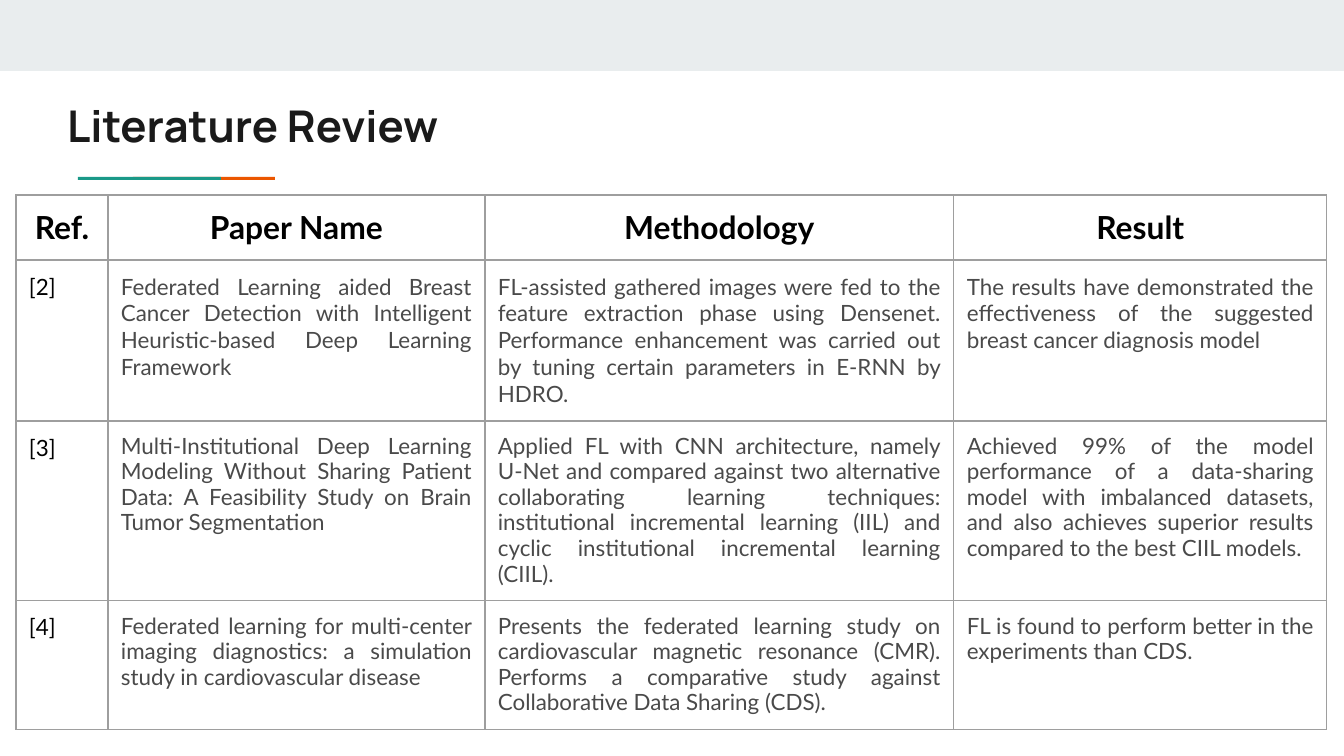
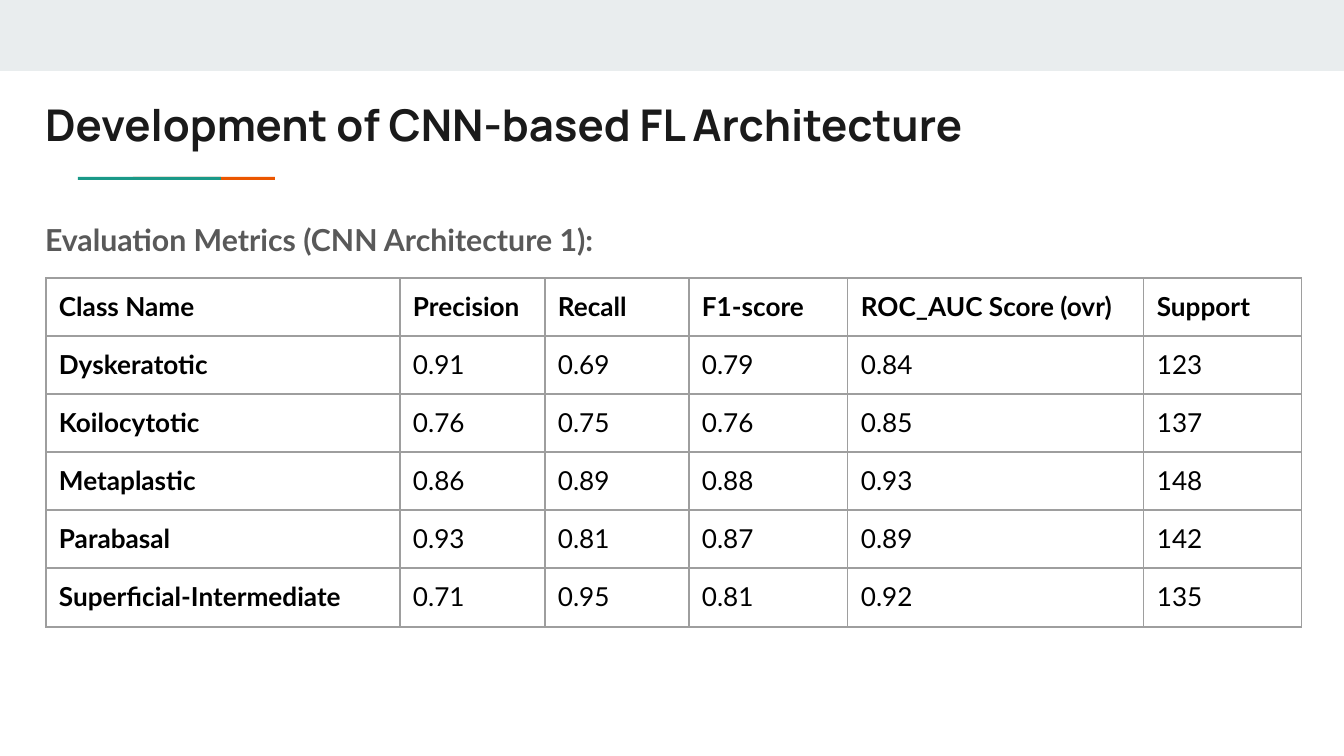
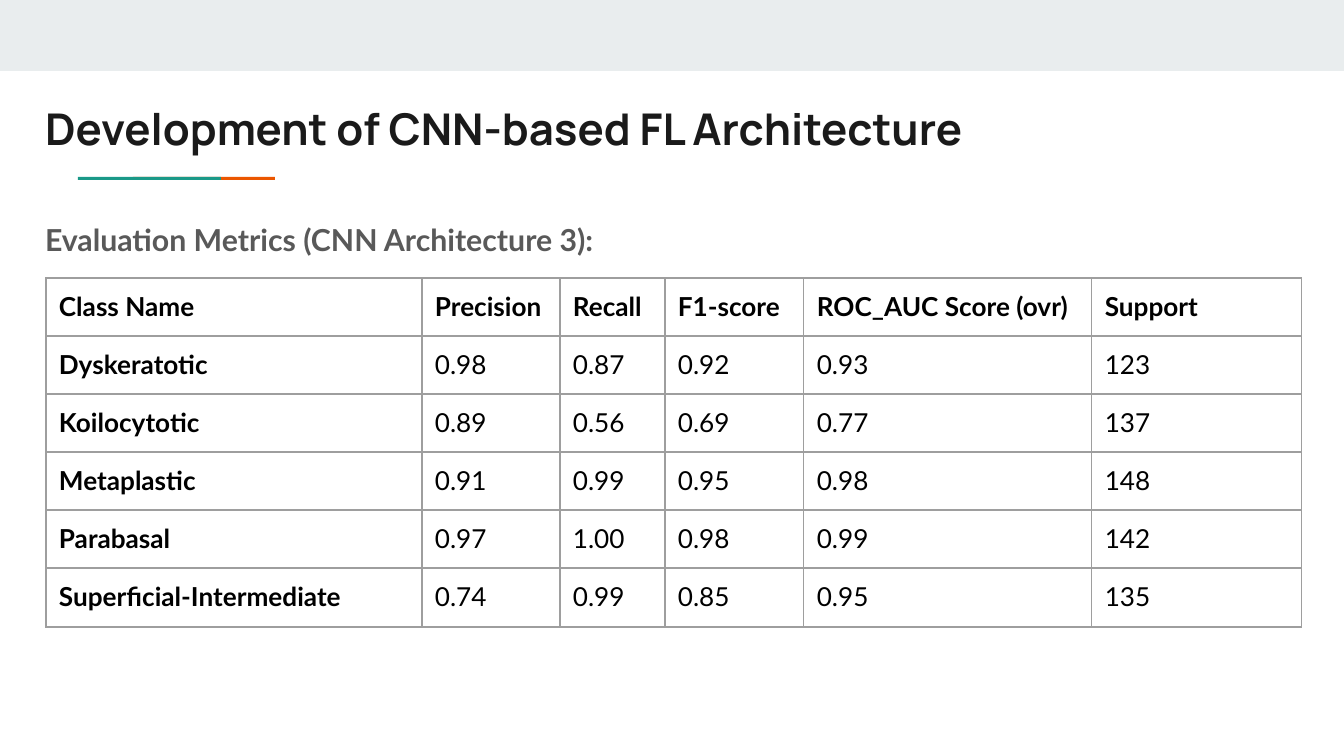
from dataclasses import dataclass

from lxml import etree
from pptx import Presentation
from pptx import util as u
from pptx.dml.color import RGBColor
from pptx.enum import shapes, text
from pptx.oxml import ns

PX = 914400 / 134.4
LEFT, MID, FULL = text.PP_ALIGN.LEFT, text.PP_ALIGN.CENTER, text.PP_ALIGN.JUSTIFY


@dataclass(frozen=True)
class Theme:
    """Colours, fonts and type sizes of the deck."""
    band: str = "E9EDEE"
    teal: str = "1A9988"
    flame: str = "EB5600"
    title: str = "1A1A1A"
    lead: str = "595959"
    ink: str = "000000"
    prose: str = "4A4A4A"
    rule: str = "9E9E9E"
    head: str = "Manrope"
    body: str = "Lato"
    title_pt: float = 23.4
    lead_pt: float = 16.2
    top_pt: float = 17
    prose_pt: float = 12
    cell_pt: float = 14
    rule_pt: float = 0.75
    pad: int = 13


def px(n):
    """Turn px into EMU."""
    return u.Emu(round(n * PX))


class Deck:
    """Holds the style and the current slide."""

    def __init__(self, theme):
        """Start an empty deck."""
        self.t = theme
        self.prs = Presentation()
        self.prs.slide_width, self.prs.slide_height = px(1344), px(756)

    def page(self, title, x, y, w, lead=None):
        """Add a slide with its band, accent bar, title and lead line."""
        t = self.t
        layout = self.prs.slide_layouts[1 if lead else 5]
        self.slide = self.prs.slides.add_slide(layout)
        self.bar(0, 0, 1344, 71, t.band)
        self.bar(133, 177, 142, 3, t.flame)
        self.bar(78, 177, 143, 3, t.teal)
        self.hold(0, title, (x, y, w, 79), t.title_pt, t.head, t.title)
        if lead:
            p = self.hold(1, lead, (32, 211, 1130, 51), t.lead_pt, t.body, t.lead)
            p.line_spacing = 0.95

    def bar(self, x, y, w, h, fill):
        """Draw a plain filled rectangle."""
        box = self.slide.shapes.add_shape(
            shapes.MSO_SHAPE.RECTANGLE, px(x), px(y), px(w), px(h))
        box.shadow.inherit = False
        box.fill.solid()
        box.fill.fore_color.rgb = RGBColor.from_string(fill)
        box.line.fill.background()

    def hold(self, idx, words, area, size, face, hue):
        """Fill and place a template placeholder."""
        box = self.slide.placeholders[idx]
        box.left, box.top, box.width, box.height = map(px, area)
        frame = box.text_frame
        frame.text = words
        frame.word_wrap = True
        frame.auto_size = text.MSO_AUTO_SIZE.NONE
        frame.vertical_anchor = text.MSO_ANCHOR.TOP
        self.inset(frame)
        p = frame.paragraphs[0]
        props = p._p.get_or_add_pPr()
        props.set("marL", "0")
        props.set("indent", "0")
        etree.SubElement(props, ns.qn("a:buNone"))
        p.alignment = LEFT
        p.space_before = u.Pt(0)
        self.font(p, size, face, hue, True)
        return p

    def inset(self, item):
        """Set equal margins on a frame or cell."""
        item.margin_left = item.margin_right = px(self.t.pad)
        item.margin_top = item.margin_bottom = px(self.t.pad)

    def font(self, p, size, face, hue, bold):
        """Set the font of a paragraph."""
        f = p.font
        f.size, f.name, f.bold = u.Pt(size), face, bold
        f.color.rgb = RGBColor.from_string(hue)

    def grid(self, x, y, cols, rows, data, style):
        """Add a ruled table; style(row, col) gives size, hue, bold, align, spacing."""
        table = self.slide.shapes.add_table(
            len(rows), len(cols), px(x), px(y), px(sum(cols)), px(sum(rows))).table
        table.first_row = table.horz_banding = False
        for col, w in zip(table.columns, cols):
            col.width = px(w)
        for row, h in zip(table.rows, rows):
            row.height = px(h)
        for r, line in enumerate(data):
            for c, words in enumerate(line):
                cell = table.cell(r, c)
                cell.text = words
                size, hue, bold, align, gap = style(r, c)
                p = cell.text_frame.paragraphs[0]
                p.alignment, p.line_spacing = align, gap
                self.font(p, size, self.t.body, hue, bold)
                self.inset(cell)
                self.edge(cell)

    def edge(self, cell):
        """Clear a cell's fill and rule its four sides."""
        cell.fill.background()
        props = cell._tc.get_or_add_tcPr()
        for i, side in enumerate("LRTB"):
            line = etree.Element(ns.qn("a:ln" + side), w=str(u.Pt(self.t.rule_pt)))
            fill = etree.SubElement(line, ns.qn("a:solidFill"))
            etree.SubElement(fill, ns.qn("a:srgbClr"), val=self.t.rule)
            props.insert(i, line)

    def review(self, cols, rows, data):
        """Add the table of papers."""
        t = self.t

        def style(r, c):
            if r == 0:
                return t.top_pt, t.ink, True, MID, None
            if c == 0:
                return t.prose_pt, t.ink, False, LEFT, None
            return t.prose_pt, t.prose, False, FULL, 0.95 if r > 1 else None

        self.grid(16, 195, cols, rows, data, style)

    def scores(self, cols, data):
        """Add a table of scores per class."""
        t = self.t
        body = [[name, *row.split(), n] for name, row, n in zip(NAMES, data, COUNTS)]
        self.grid(46, 278, cols, [58] * 5 + [59], [HEADS, *body],
                  lambda r, c: (t.cell_pt, t.ink, r * c == 0, LEFT, None))


HEADS = ["Class Name", "Precision", "Recall", "F1-score",
         "ROC_AUC Score (ovr)", "Support"]
NAMES = ["Dyskeratotic", "Koilocytotic", "Metaplastic", "Parabasal",
         "Superficial-Intermediate"]
COUNTS = ["123", "137", "148", "142", "135"]

PAPERS = [
    ["Ref.", "Paper Name", "Methodology", "Result"],
    ["[2]",
     "Federated Learning aided Breast Cancer Detection with Intelligent "
     "Heuristic-based Deep Learning Framework",
     "FL-assisted gathered images were fed to the feature extraction phase using "
     "Densenet. Performance enhancement was carried out by tuning certain "
     "parameters in E-RNN by HDRO.",
     "The results have demonstrated the effectiveness of the suggested breast "
     "cancer diagnosis model"],
    ["[3]",
     "Multi-Institutional Deep Learning Modeling Without Sharing Patient Data: "
     "A Feasibility Study on Brain Tumor Segmentation",
     "Applied FL with CNN architecture, namely U-Net and compared against two "
     "alternative collaborating learning techniques: institutional incremental "
     "learning (IIL) and cyclic institutional incremental learning (CIIL).",
     "Achieved 99% of the model performance of a data-sharing model with "
     "imbalanced datasets, and also achieves superior results compared to the "
     "best CIIL models."],
    ["[4]",
     "Federated learning for multi-center imaging diagnostics: a simulation "
     "study in cardiovascular disease",
     "Presents the federated learning study on cardiovascular magnetic resonance "
     "(CMR). Performs a comparative study against Collaborative Data Sharing (CDS).",
     "FL is found to perform better in the experiments than CDS."],
]

MODELS = [
    (1, 85, [354, 145, 144, 159, 296, 158],
     ["0.91 0.69 0.79 0.84", "0.76 0.75 0.76 0.85", "0.86 0.89 0.88 0.93",
      "0.93 0.81 0.87 0.89", "0.71 0.95 0.81 0.92"]),
    (3, 89, [376, 138, 105, 139, 288, 210],
     ["0.98 0.87 0.92 0.93", "0.89 0.56 0.69 0.77", "0.91 0.99 0.95 0.98",
      "0.97 1.00 0.98 0.99", "0.74 0.99 0.85 0.95"]),
]


def main():
    """Build the three slides."""
    deck = Deck(Theme())
    deck.page("Literature Review", 54, 86, 1140)
    deck.review([92, 377, 469, 373], [65, 161, 180, 129], PAPERS)
    for num, y, cols, data in MODELS:
        deck.page("Development of CNN-based FL Architecture", 32, y, 1130,
                  f"Evaluation Metrics (CNN Architecture {num}):")
        deck.scores(cols, data)
    deck.prs.save("out.pptx")


if __name__ == "__main__":
    main()
